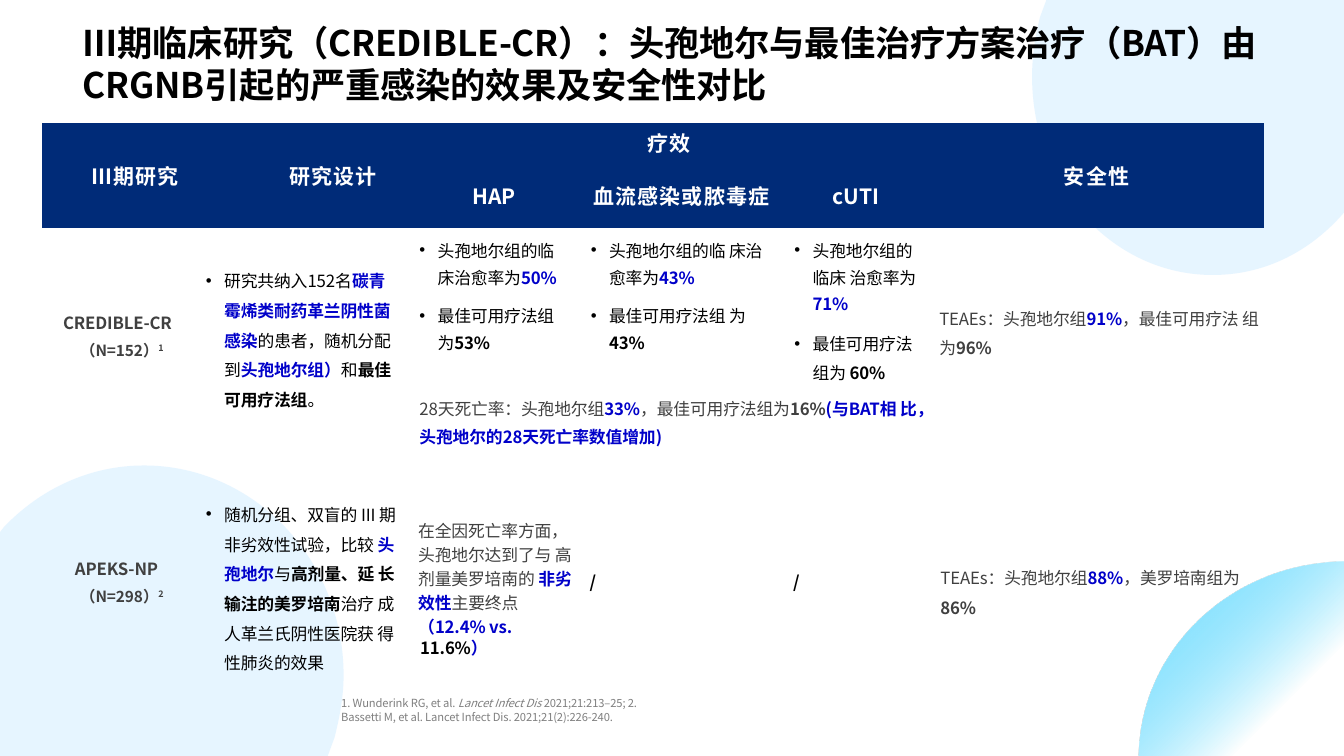
from lxml.etree import SubElement
from pptx import Presentation
from pptx.dml.color import RGBColor
from pptx.enum.text import MSO_ANCHOR as Anchor, PP_ALIGN as Align
from pptx.oxml.ns import qn
from pptx.util import Cm, Pt

FONT = "Noto Sans CJK SC"
WIDTH, HEIGHT = 33.87, 19.05
NAVY, BLUE, BLACK, GREY, WHITE = "002B78", "0000C9", "000000", "404040", "FFFFFF"
STYLES = {
    "dark": (BLACK, False), "dark bold": (BLACK, True), "blue": (BLUE, True),
    "grey": (GREY, False), "grey bold": (GREY, True),
}
NO_GRID = "{2D5ABB26-0587-4C30-8999-92F81FD0307C}"

TITLE = "Ⅲ期临床研究（CREDIBLE-CR）：头孢地尔与最佳治疗方案治疗（BAT）由CRGNB引起的严重感染的效果及安全性对比"
CITATIONS = [("1. Wunderink RG, et al. ", False), ("Lancet Infect Dis", True),
             (" 2021;21:213–25; 2. Bassetti M, et al. Lancet Infect Dis. 2021;21(2):226-240.", False)]

COLUMNS = [3.86, 5.38, 4.32, 5.13, 3.68, 8.43]
ROWS = [0.97, 1.68, 3.91, 2.57, 5.56]
MERGES = [((0, 0), (1, 0)), ((0, 1), (1, 1)), ((0, 2), (0, 4)), ((0, 5), (1, 5)),
          ((2, 0), (3, 0)), ((2, 1), (3, 1)), ((2, 5), (3, 5)), ((3, 2), (3, 4))]
HEADINGS = [(0, 0, "Ⅲ期研究", 0.84), (0, 1, "研究设计", 1.57), (0, 2, "疗效", 0),
            (0, 5, "安全性", 0), (1, 2, "HAP", 0), (1, 3, "血流感染或脓毒症", 0), (1, 4, "cUTI", 0)]

STUDIES = [
    (2, 0, 1.96, 1.17, 0.97, -0.43,
     [("CREDIBLE-CR ", "grey bold"), ("（N=152）", "grey bold", 11), ("1", "grey bold", 11, 28)]),
    (4, 0, 1.68, 1.17, 0.97, -0.13,
     [("APEKS-NP ", "grey bold"), ("（N=298）", "grey bold", 11), ("2", "grey bold", 11, 28)]),
]
FINDINGS = [
    (3, 2, 0.2, 1.18, 0.28, 0,
     [("28天死亡率：头孢地尔组", "grey"), ("33%", "blue"), ("，最佳可用疗法组为", "grey"),
      ("16%", "grey bold"), ("(与BAT相 比，头孢地尔的28天死亡率数值增加)", "blue")]),
    (2, 5, 1.85, 1.19, 0.25, 0,
     [("TEAEs：头孢地尔组", "grey"), ("91%", "blue"), ("，最佳可用疗法 组为", "grey"), ("96%", "grey bold")]),
    (4, 2, 0.84, 0.98, 0.25, 0,
     [("在全因死亡率方面，头孢地尔达到了与 高剂量美罗培南的 ", "grey"), ("非劣效性", "blue"),
      ("主要终点 ", "grey"), ("（12.4% vs.", "blue")]),
    (4, 3, 2.1, 1, 0.25, 0, [("/", "dark bold")]),
    (4, 4, 2.1, 1, 0.25, 0, [("/", "dark bold")]),
    (4, 5, 1.85, 1.24, 0.28, 0,
     [("TEAEs：头孢地尔组", "grey"), ("88%", "blue"), ("，美罗培南组为 ", "grey"), ("86%", "grey bold")]),
]
RIGHT_MARGINS = {(3, 2): 0.25, (4, 2): 0.15}
COMPARATOR_RATE = [("11.6%", "dark bold"), ("）", "blue")]
BULLETS = [
    (2, 1, 0.87, [1.22],
     [[("研究共纳入152名", "dark"), ("碳青 霉烯类耐药革兰阴性菌 感染", "blue"), ("的患者，随机分配 到", "dark"),
       ("头孢地尔组）", "blue"), ("和", "dark"), ("最佳 可用疗法组", "dark bold"), ("。", "dark")]]),
    (4, 1, 0.28, [1.22],
     [[("随机分组、双盲的 III 期非劣效性试验，比较 ", "dark"), ("头孢地尔", "blue"), ("与", "dark"),
       ("高剂量、延 长输注的美罗培南", "dark bold"), ("治疗 成人革兰氏阴性医院获 得性肺炎的效果", "dark")]]),
    (2, 2, 0.18, [1.1, 1.1],
     [[("头孢地尔组的临 床治愈率为", "dark"), ("50%", "blue")],
      [("最佳可用疗法组 为", "dark"), ("53%", "dark bold")]]),
    (2, 3, 0.18, [1.1, 1.1],
     [[("头孢地尔组的临 床治愈率为", "dark"), ("43%", "blue")],
      [("最佳可用疗法组 为", "dark"), ("43%", "dark bold")]]),
    (2, 4, 0.18, [1.1, 1.16],
     [[("头孢地尔组的临床 治愈率为", "dark"), ("71%", "blue")],
      [("最佳可用疗法组为 ", "dark"), ("60%", "dark bold")]]),
]

LEFT_DISC = [(3.63, 11.73), ((6.4, 11.73), (8.66, 14.1), (8.66, 17.02)),
             ((8.66, 17.55), (8.56, 18.08), (8.43, 18.59)), (8.26, HEIGHT), (0, HEIGHT),
             (0, 13.41), (0.1, 13.28), ((1.02, 12.32), (2.26, 11.73), (3.63, 11.73))]
RIGHT_DISC = [(26.37, 0), (WIDTH, 0), (WIDTH, 5.36), (33.78, 5.46),
              ((32.94, 6.38), (31.83, 6.93), (30.56, 6.93)),
              ((28.04, 6.93), (26.01, 4.7), (26.01, 1.93)),
              ((26.01, 1.42), (26.09, 0.91), (26.21, 0.43))]
BRIGHT_DISC = [(33.93, 14.15), (33.93, 19.13), (28.7, 19.13), (28.73, 18.64),
               ((28.98, 16.1), (31.22, 14.15), (33.93, 14.15))]


def color(hex_code):
    return RGBColor.from_string(hex_code)


def style_run(run, size, hex_code, bold=False, italic=False, spacing=-10):
    font = run.font
    font.name, font.size, font.bold, font.italic = FONT, Pt(size), bold, italic
    font.color.rgb = color(hex_code)
    properties = run._r.get_or_add_rPr()
    properties.set("spc", str(spacing))
    SubElement(properties, qn("a:ea")).set("typeface", FONT)
    return properties


def write(paragraph, runs):
    for text, style, *rest in runs:
        size, baseline = rest + [12, 0][len(rest):]
        run = paragraph.add_run()
        run.text = text
        properties = style_run(run, size, *STYLES[style])
        if baseline:
            properties.set("baseline", f"{baseline}000")


def indent(paragraph, left, first):
    properties = paragraph._p.get_or_add_pPr()
    properties.set("marL", str(Cm(left)))
    properties.set("indent", str(Cm(first)))
    return properties


def disc(slide, outline):
    start, *segments = outline
    builder = slide.shapes.build_freeform(Cm(start[0]), Cm(start[1]))
    for segment in segments:
        points = segment if isinstance(segment[0], tuple) else [segment]
        builder.add_line_segments([(Cm(x), Cm(y)) for x, y in points], close=False)
    builder.add_line_segments([], close=True)
    shape = builder.convert_to_shape()
    lines = iter(list(shape._element.iter(qn("a:lnTo"))))
    for segment in segments:
        first = next(lines)
        if isinstance(segment[0], tuple):
            curve = first.makeelement(qn("a:cubicBezTo"))
            first.addprevious(curve)
            for line in (first, next(lines), next(lines)):
                curve.append(line[0])
                line.getparent().remove(line)
    shape.shadow.inherit = False
    shape.line.fill.background()
    return shape


def set_alpha(shape, hex_code, percent):
    for node in shape._element.spPr.iter(qn("a:srgbClr")):
        if node.get("val") == hex_code:
            SubElement(node, qn("a:alpha")).set("val", f"{percent}000")


def text_box(slide, left, top, width, height):
    frame = slide.shapes.add_textbox(Cm(left), Cm(top), Cm(width), Cm(height)).text_frame
    frame.word_wrap = True
    return frame


def draw_background(slide):
    for outline in (LEFT_DISC, RIGHT_DISC):
        pale = disc(slide, outline)
        pale.fill.solid()
        pale.fill.fore_color.rgb = color("CFECFF")
        set_alpha(pale, "CFECFF", 50)
    bright = disc(slide, BRIGHT_DISC)
    bright.fill.gradient()
    bright.fill.gradient_angle = 315
    for stop, position, tint in zip(bright.fill.gradient_stops, (0.15, 0.71), ("8BE3FF", "0EC6FF")):
        stop.position = position
        stop.color.rgb = color(tint)
    set_alpha(bright, "0EC6FF", 0)


def draw_table(slide):
    table = slide.shapes.add_table(len(ROWS), len(COLUMNS), Cm(1.05), Cm(3.1),
                                   Cm(sum(COLUMNS)), Cm(sum(ROWS))).table
    table.first_row = table.horz_banding = False
    table._tbl.tblPr.find(qn("a:tableStyleId")).text = NO_GRID
    for column, width in zip(table.columns, COLUMNS):
        column.width = Cm(width)
    for i, (row, height) in enumerate(zip(table.rows, ROWS)):
        row.height = Cm(height)
        for cell in row.cells:
            cell.margin_left = cell.margin_right = cell.margin_top = cell.margin_bottom = 0
            if i < 2:
                cell.fill.solid()
                cell.fill.fore_color.rgb = color(NAVY)
            else:
                cell.fill.background()
    for start, end in MERGES:
        table.cell(*start).merge(table.cell(*end))
    for row, column, heading, left in HEADINGS:
        cell = table.cell(row, column)
        cell.vertical_anchor = Anchor.MIDDLE
        cell.text_frame.text = heading
        paragraph = cell.text_frame.paragraphs[0]
        paragraph.alignment = Align.CENTER
        indent(paragraph, left, 0)
        style_run(paragraph.runs[0], 15, WHITE, True, spacing=10 if heading.isascii() else 80)
    for row, column, top, spacing, left, first, runs in STUDIES + FINDINGS:
        cell = table.cell(row, column)
        cell.margin_top = Cm(top)
        cell.margin_right = Cm(RIGHT_MARGINS.get((row, column), 0))
        paragraph = cell.text_frame.paragraphs[0]
        paragraph.line_spacing = spacing
        indent(paragraph, left, first)
        write(paragraph, runs)
    rate = table.cell(4, 2).text_frame.add_paragraph()
    rate.line_spacing = Pt(15.1)
    indent(rate, 0.3, 0)
    write(rate, COMPARATOR_RATE)
    for row, column, top, spacings, items in BULLETS:
        cell = table.cell(row, column)
        cell.margin_top, cell.margin_right = Cm(top), Cm(0.23)
        for i, (spacing, runs) in enumerate(zip(spacings, items)):
            paragraph = cell.text_frame.add_paragraph() if i else cell.text_frame.paragraphs[0]
            paragraph.line_spacing = spacing
            if i:
                paragraph.space_before = Pt(8.5)
            properties = indent(paragraph, 0.74, -0.46)
            SubElement(properties, qn("a:buFont")).set("typeface", "Arial")
            SubElement(properties, qn("a:buChar")).set("char", "•")
            write(paragraph, runs)


def main():
    deck = Presentation()
    deck.slide_width, deck.slide_height = Cm(WIDTH), Cm(HEIGHT)
    slide = deck.slides.add_slide(deck.slide_layouts[6])
    draw_background(slide)

    title = text_box(slide, 1.83, 0.61, 30.18, 2.18)
    title.vertical_anchor = Anchor.BOTTOM
    title.text = TITLE
    style_run(title.paragraphs[0].runs[0], 25.2, BLACK, True)

    draw_table(slide)

    citations = text_box(slide, 8.6, 17.48, 8.03, 0.79)
    citations.margin_left = citations.margin_right = citations.margin_bottom = 0
    citations.margin_top = Cm(0.04)
    citations.paragraphs[0].line_spacing = 1.07
    for text, italic in CITATIONS:
        run = citations.paragraphs[0].add_run()
        run.text = text
        style_run(run, 8, "7F7F7F", italic=italic)
    deck.save("out.pptx")


if __name__ == "__main__":
    main()
